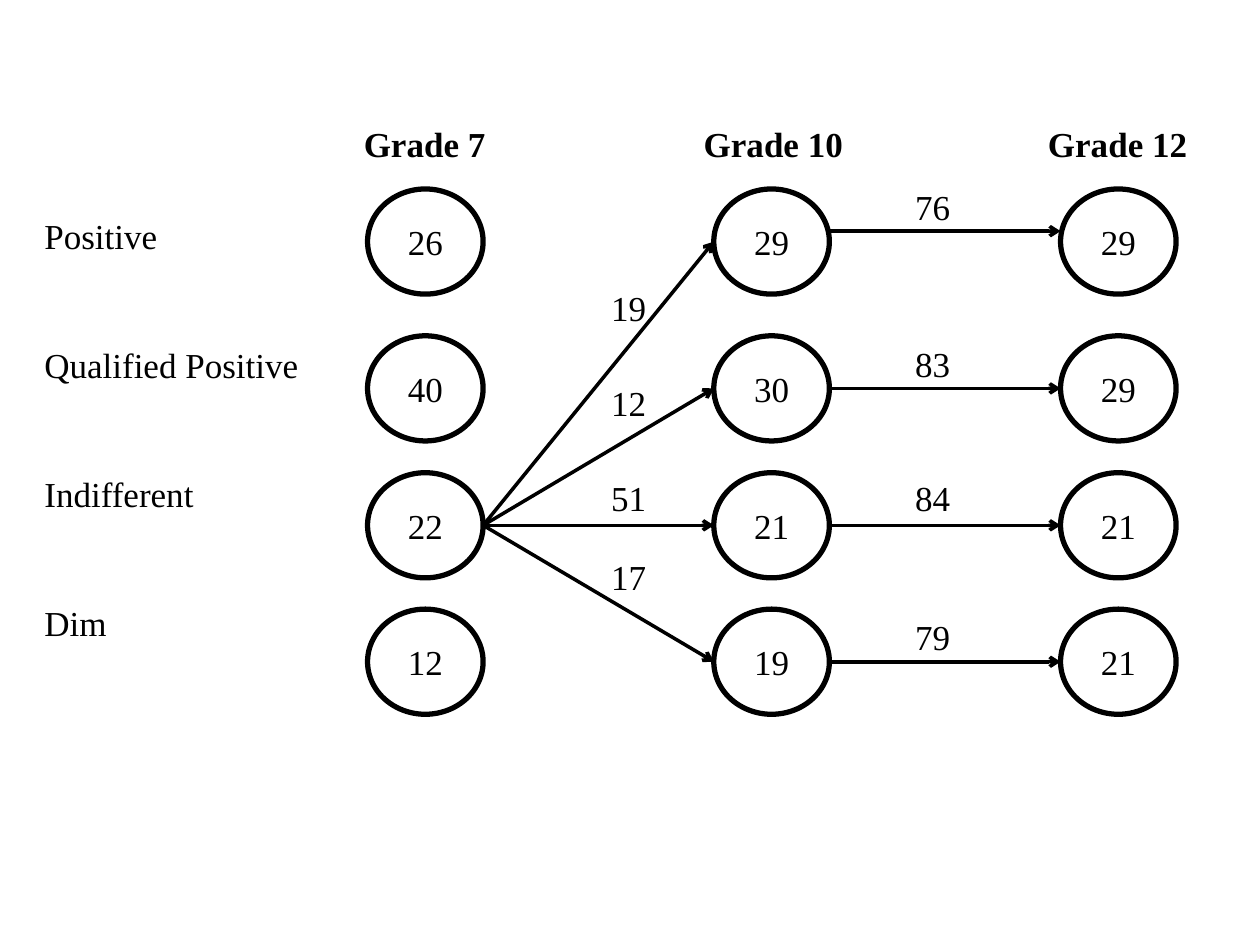
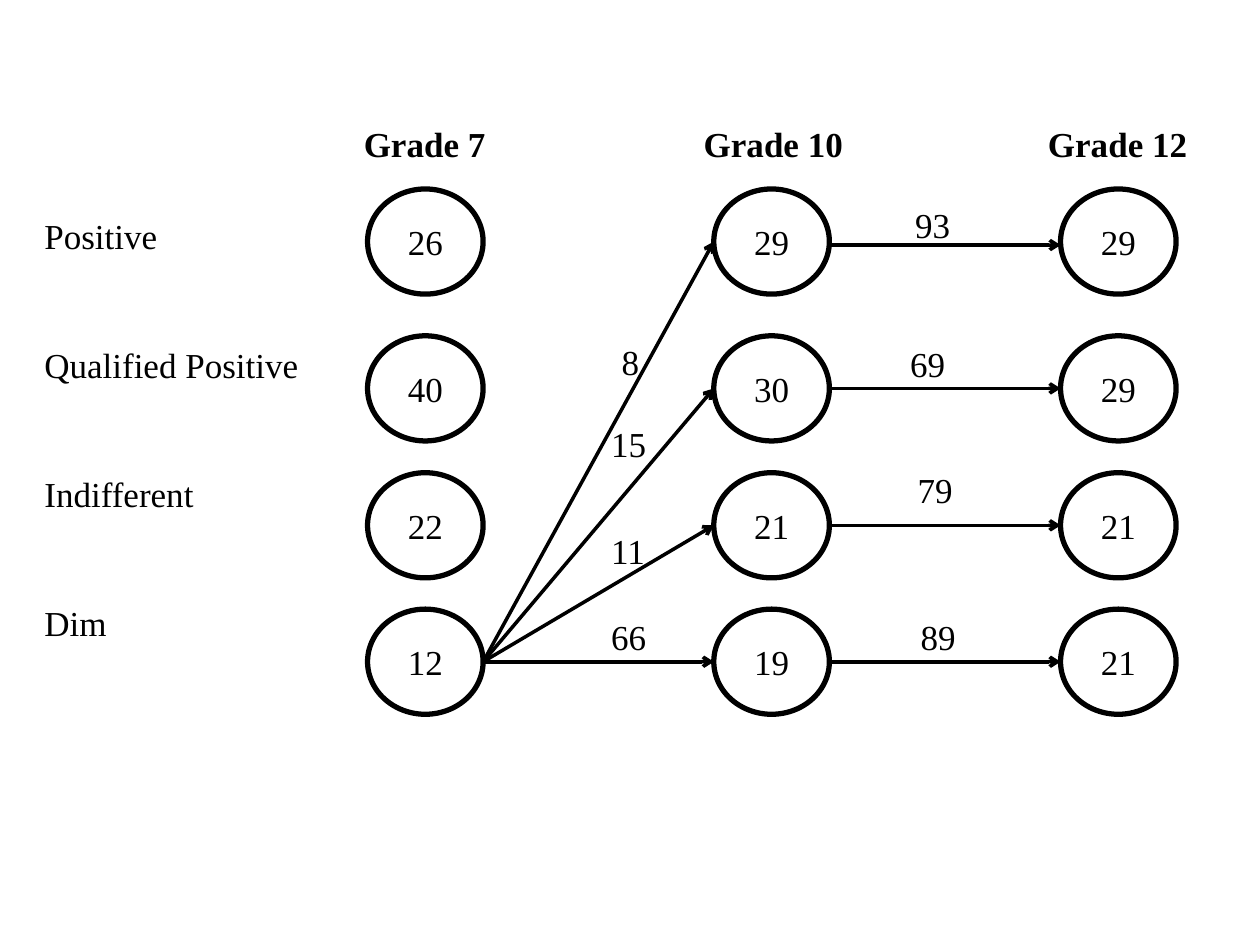
import dataclasses

import lxml.etree
import pptx
import pptx.dml.color
import pptx.enum.shapes
import pptx.enum.text
import pptx.oxml.ns
import pptx.util

Cm = pptx.util.Cm
Pt = pptx.util.Pt
Align = pptx.enum.text.PP_ALIGN


@dataclasses.dataclass(frozen=True)
class Theme:
    ink: pptx.dml.color.RGBColor = pptx.dml.color.RGBColor(0, 0, 0)
    font: str = "Times New Roman"
    text_size: int = 20
    circle_line: int = 3
    arrow_line: int = 2


GRADES = {1: "Grade 7", 3: "Grade 10", 5: "Grade 12"}
ATTITUDES = ["Positive", "Qualified Positive", "Indifferent", "Dim"]
SHARES = [[26, 40, 22, 12], [29, 30, 21, 19], [29, 29, 21, 21]]

TABLE_LEFT, TABLE_TOP = 0.64, 2.41
COLUMN_WIDTHS = [6.22, 3.4, 3.4, 3.86, 2.57, 4.88]
HEADER_HEIGHT, ROW_HEIGHT = 1.04, 2.6
LABEL_OFFSET = 0.94

CIRCLE_WIDTH, CIRCLE_HEIGHT = 2.33, 2.12
CIRCLE_LEFTS = [7.41, 14.39, 21.38]
CIRCLE_TOPS = [3.81, 6.77, 9.53, 12.28]
CENTRES = [top + CIRCLE_HEIGHT / 2 for top in CIRCLE_TOPS]

FLOWS = [
    {
        "source": 2,
        "top_arrow": 4.66,
        "early": [("19", 12.07, 5.66), ("12", 12.07, 7.57), ("51", 12.07, 9.48), ("17", 12.07, 11.07)],
        "late": [("76", 18.2, 3.61), ("83", 18.2, 6.77), ("84", 18.2, 9.48), ("79", 18.2, 12.28)],
    },
    {
        "source": 3,
        "top_arrow": 4.94,
        "early": [("8", 12.28, 6.73), ("15", 12.07, 8.4), ("11", 12.07, 10.55), ("66", 12.07, 12.28)],
        "late": [("93", 18.2, 3.97), ("69", 18.1, 6.77), ("79", 18.25, 9.31), ("89", 18.31, 12.28)],
    },
]


class FlowDeck:
    def __init__(self, theme):
        self.theme = theme
        self.deck = pptx.Presentation()
        self.deck.slide_width = Cm(25.4)
        self.deck.slide_height = Cm(19.05)
        self.page = None

    def new_page(self):
        self.page = self.deck.slides.add_slide(self.deck.slide_layouts[6])

    def set_text(self, frame, text, align=Align.LEFT, bold=False):
        para = frame.paragraphs[0]
        para.text = text
        para.alignment = align
        para.font.name = self.theme.font
        para.font.size = Pt(self.theme.text_size)
        para.font.bold = bold
        para.font.color.rgb = self.theme.ink

    def grid(self):
        height = HEADER_HEIGHT + ROW_HEIGHT * len(ATTITUDES)
        table = self.page.shapes.add_table(
            len(ATTITUDES) + 1, len(COLUMN_WIDTHS),
            Cm(TABLE_LEFT), Cm(TABLE_TOP), Cm(sum(COLUMN_WIDTHS)), Cm(height)).table
        table.first_row = table.horz_banding = False
        for column, width in zip(table.columns, COLUMN_WIDTHS):
            column.width = Cm(width)
        for number, row in enumerate(table.rows):
            row.height = Cm(ROW_HEIGHT if number else HEADER_HEIGHT)
        for cell in table.iter_cells():
            cell.fill.background()
        for column, grade in GRADES.items():
            self.set_text(table.cell(0, column).text_frame, grade, Align.CENTER, bold=True)
        for row, attitude in enumerate(ATTITUDES, start=1):
            cell = table.cell(row, 0)
            cell.margin_top = Cm(LABEL_OFFSET)
            self.set_text(cell.text_frame, attitude)

    def circle(self, left, top, share):
        oval = self.page.shapes.add_shape(
            pptx.enum.shapes.MSO_SHAPE.OVAL,
            Cm(left), Cm(top), Cm(CIRCLE_WIDTH), Cm(CIRCLE_HEIGHT))
        oval.shadow.inherit = False
        oval.fill.background()
        oval.line.color.rgb = self.theme.ink
        oval.line.width = Pt(self.theme.circle_line)
        oval.text_frame.vertical_anchor = pptx.enum.text.MSO_ANCHOR.MIDDLE
        self.set_text(oval.text_frame, str(share), Align.CENTER)

    def arrow(self, grade, start, end):
        connector = self.page.shapes.add_connector(
            pptx.enum.shapes.MSO_CONNECTOR.STRAIGHT,
            Cm(CIRCLE_LEFTS[grade] + CIRCLE_WIDTH), Cm(start),
            Cm(CIRCLE_LEFTS[grade + 1]), Cm(end))
        connector.line.color.rgb = self.theme.ink
        connector.line.width = Pt(self.theme.arrow_line)
        qn = pptx.oxml.ns.qn
        properties = connector._element.spPr
        lxml.etree.SubElement(properties.find(qn("a:ln")), qn("a:tailEnd"), type="arrow")
        lxml.etree.SubElement(properties, qn("a:effectLst"))

    def label(self, text, left, top):
        box = self.page.shapes.add_textbox(Cm(left), Cm(top), Cm(1.48), Cm(1.11))
        box.text_frame.word_wrap = True
        box.text_frame.auto_size = pptx.enum.text.MSO_AUTO_SIZE.SHAPE_TO_FIT_TEXT
        self.set_text(box.text_frame, text)

    def flow_page(self, flow):
        self.new_page()
        self.grid()
        for left, shares in zip(CIRCLE_LEFTS, SHARES):
            for top, share in zip(CIRCLE_TOPS, shares):
                self.circle(left, top, share)
        for centre in CENTRES:
            self.arrow(0, CENTRES[flow["source"]], centre)
        for height in [flow["top_arrow"], *CENTRES[1:]]:
            self.arrow(1, height, height)
        for text, left, top in flow["early"] + flow["late"]:
            self.label(text, left, top)


def main():
    builder = FlowDeck(Theme())
    for flow in FLOWS:
        builder.flow_page(flow)
    builder.deck.save("out.pptx")


if __name__ == "__main__":
    main()
